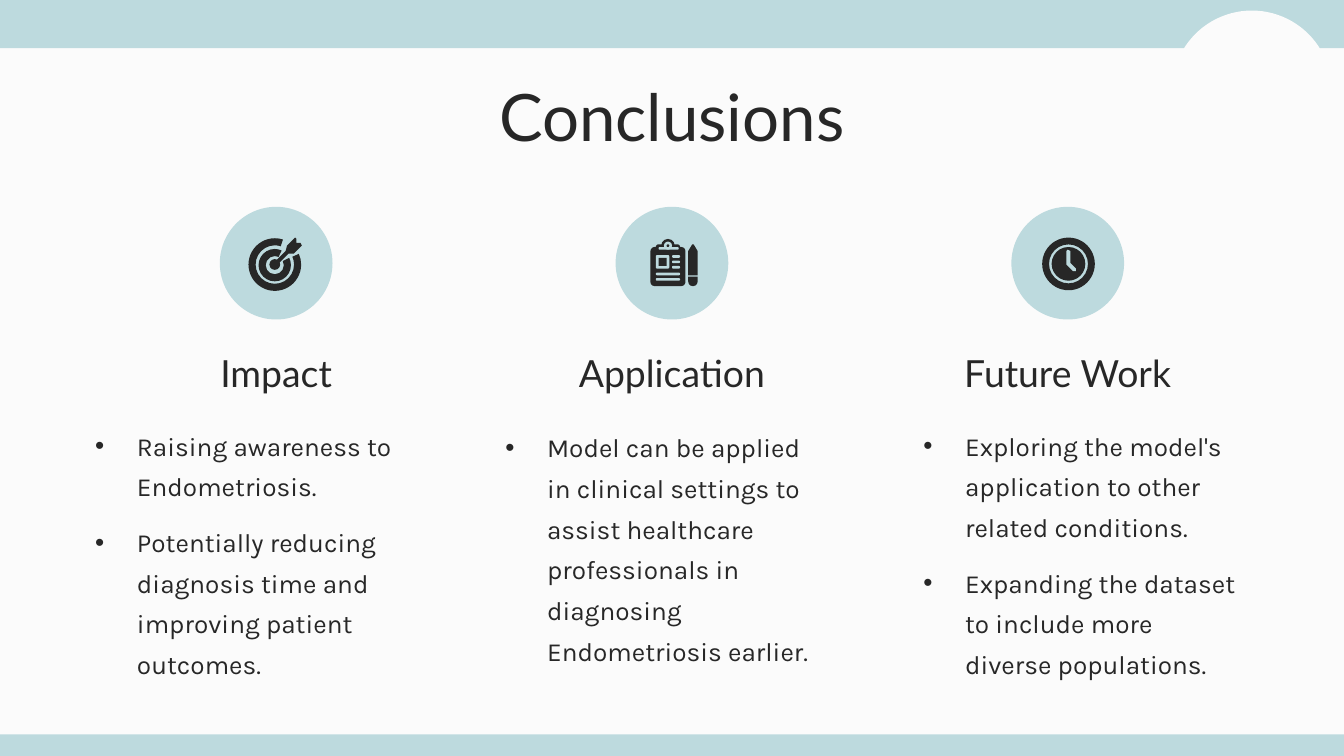
from lxml import etree
from pptx import Presentation
from pptx.dml.color import RGBColor
from pptx.enum import shapes, text
from pptx.oxml import ns
from pptx.util import Cm, Pt

TEAL = RGBColor(0xBD, 0xDA, 0xDE)
DARK = RGBColor(0x27, 0x27, 0x27)
PAPER = RGBColor(0xFB, 0xFB, 0xFB)
LATO, KARLA = "Lato", "Karla"
RECT = shapes.MSO_SHAPE.RECTANGLE
ROUNDED = shapes.MSO_SHAPE.ROUNDED_RECTANGLE
ROUND_END = shapes.MSO_SHAPE.ROUND_2_SAME_RECTANGLE
OVAL = shapes.MSO_SHAPE.OVAL
DONUT = shapes.MSO_SHAPE.DONUT
BLOCK_ARC = shapes.MSO_SHAPE.BLOCK_ARC
DEGREE = 0.6  # one degree as an adjustment value

# Content: heading, body box in cm (left, top, width, height), bullets
TITLE = "Conclusions"
COLUMNS = [
    ("Impact", (1.55, 7.7, 7.26, 5.4),
     ["Raising awareness to Endometriosis.",
      "Potentially reducing diagnosis time and improving patient outcomes."]),
    ("Application", (9.3, 7.73, 6.43, 4.9),
     ["Model can be applied in clinical settings to assist healthcare "
      "professionals in diagnosing Endometriosis earlier."]),
    ("Future Work", (17.2, 7.7, 6.43, 5.4),
     ["Exploring the model's application to other related conditions.",
      "Expanding the dataset to include more diverse populations."]),
]

# Icons, in icon units from the centre of the disc:
# presets as (kind, (left, top, right, bottom), colour, adjustments),
# polygons as (None, points, colour, ())
TARGET = [
    (BLOCK_ARC, (-20.5, -18.5, 18.5, 20.5), DARK,
     (336 * DEGREE, 288 * DEGREE, 0.135)),
    (BLOCK_ARC, (-13, -10.5, 11, 13.5), DARK,
     (333 * DEGREE, 295 * DEGREE, 0.22)),
    (OVAL, (-5, -3, 3, 5), DARK, ()),
    (None, [(0, -2), (7, -9), (8, -13), (14, -19), (15, -18), (15, -15),
            (18, -15), (19, -13), (13, -7), (9, -7), (2, 0)], DARK, ()),
]
CLIPBOARD = [
    (ROUNDED, (-16, -12, 10, 17), DARK, (0.12,)),
    (ROUNDED, (-12, -14, 6, -9), DARK, (0.4,)),
    (OVAL, (-8, -18, 2, -8), DARK, ()),
    (OVAL, (-6, -16, 0, -10), TEAL, ()),
    (ROUNDED, (-10, -12, 5, -10), TEAL, (0.5,)),
    (OVAL, (-4, -14, -2, -12), DARK, ()),
    (ROUNDED, (-12, -6, -2, 4), TEAL, (0.1,)),
    (RECT, (-10, -4, -4, 2), DARK, ()),
    *[(ROUNDED, (left, top, 6, top + 2), TEAL, (0.5,))
      for left, top in [(0, -6), (0, -2), (0, 2), (-12, 7), (-12, 11)]],
    (None, [(12, 9), (12, -9), (15, -14), (16, -14), (19, -9), (19, 9)], DARK, ()),
    (ROUND_END, (12, 10, 19, 17), DARK, (0, 0.5)),
]
CLOCK = [
    (DONUT, (-19, -19, 20, 20), DARK, (0.13,)),
    (OVAL, (-12, -12, 13, 13), DARK, ()),
    (None, [(-1, -9), (0, -10), (2, -9), (2, 0), (6, 4), (6, 6), (4, 6),
            (-1, 1)], TEAL, ()),
]
ICONS = [TARGET, CLIPBOARD, CLOCK]

# Layout in cm
WIDTH, HEIGHT = 25.4, 14.29
COLUMN_GAP = 7.48
DISC, DISC_TOP = 2.13, 3.91
HEAD_W, HEAD_TOP, HEAD_H = 6.43, 6.48, 1.24
INSET = 0.25
INDENT = 0.79
ICON_UNIT = Cm(0.03) * 0.85

prs = Presentation()
prs.slide_width, prs.slide_height = Cm(WIDTH), Cm(HEIGHT)
s = prs.slides.add_slide(prs.slide_layouts[6])
s.background.fill.solid()
s.background.fill.fore_color.rgb = PAPER


def paint(sp, color):
    sp.shadow.inherit = False
    sp.fill.solid()
    sp.fill.fore_color.rgb = color
    sp.line.fill.background()


def add_preset(kind, x, y, w, h, color):
    sp = s.shapes.add_shape(kind, Cm(x), Cm(y), Cm(w), Cm(h))
    paint(sp, color)
    return sp


def add_icon(parts, cx, cy):
    unit = ICON_UNIT / Cm(1)
    for kind, points, color, adjustments in parts:
        if kind is None:
            placed = [(Cm(cx + x * unit), Cm(cy + y * unit)) for x, y in points]
            builder = s.shapes.build_freeform(*placed[0])
            builder.add_line_segments(placed[1:], close=True)
            paint(builder.convert_to_shape(), color)
            continue
        x1, y1, x2, y2 = (v * unit for v in points)
        sp = add_preset(kind, cx + x1, cy + y1, x2 - x1, y2 - y1, color)
        for i, value in enumerate(adjustments):
            sp.adjustments[i] = value


def add_text(lines, x, y, w, h, font, size, align=text.PP_ALIGN.CENTER,
             anchor=text.MSO_ANCHOR.TOP):
    tf = s.shapes.add_textbox(Cm(x), Cm(y), Cm(w), Cm(h)).text_frame
    tf.word_wrap = True
    tf.vertical_anchor = anchor
    tf.margin_left = tf.margin_right = tf.margin_top = tf.margin_bottom = Cm(INSET)
    tf.text = "\n".join(lines)
    for p in tf.paragraphs:
        p.alignment = align
        f = p.runs[0].font
        f.name, f.size, f.color.rgb = font, Pt(size), DARK
    return tf


def add_bullets(tf):
    for p in tf.paragraphs:
        p.line_spacing, p.space_after = 1.3, Pt(8)
        pPr = p._p.get_or_add_pPr()
        pPr.set("marL", str(Cm(INDENT)))
        pPr.set("indent", str(-Cm(INDENT)))
        color = etree.SubElement(pPr, ns.qn("a:buClr"))
        etree.SubElement(color, ns.qn("a:srgbClr"), val=str(DARK))
        etree.SubElement(pPr, ns.qn("a:buFont"), typeface="Arial")
        etree.SubElement(pPr, ns.qn("a:buChar"), char="•")


# Bands and corner cut-out
add_preset(RECT, 0, 13.88, WIDTH, HEIGHT - 13.88, TEAL)
add_preset(RECT, 0, 0, WIDTH, 0.91, TEAL)
add_preset(OVAL, 22.15, 0.2, 3.02, 3.02, PAPER)

# Title
add_text([TITLE], 2, 1.19, 21.4, 1.6, LATO, 35)

# Columns
for i, ((heading, body, bullets), icon) in enumerate(zip(COLUMNS, ICONS)):
    cx = WIDTH / 2 + (i - 1) * COLUMN_GAP
    add_preset(OVAL, cx - DISC / 2, DISC_TOP, DISC, DISC, TEAL)
    add_icon(icon, cx, DISC_TOP + DISC / 2)
    add_text([heading], cx - HEAD_W / 2, HEAD_TOP, HEAD_W, HEAD_H, LATO, 20,
             anchor=text.MSO_ANCHOR.BOTTOM)
    add_bullets(add_text(bullets, *body, KARLA, 14, text.PP_ALIGN.LEFT))

prs.save("out.pptx")
